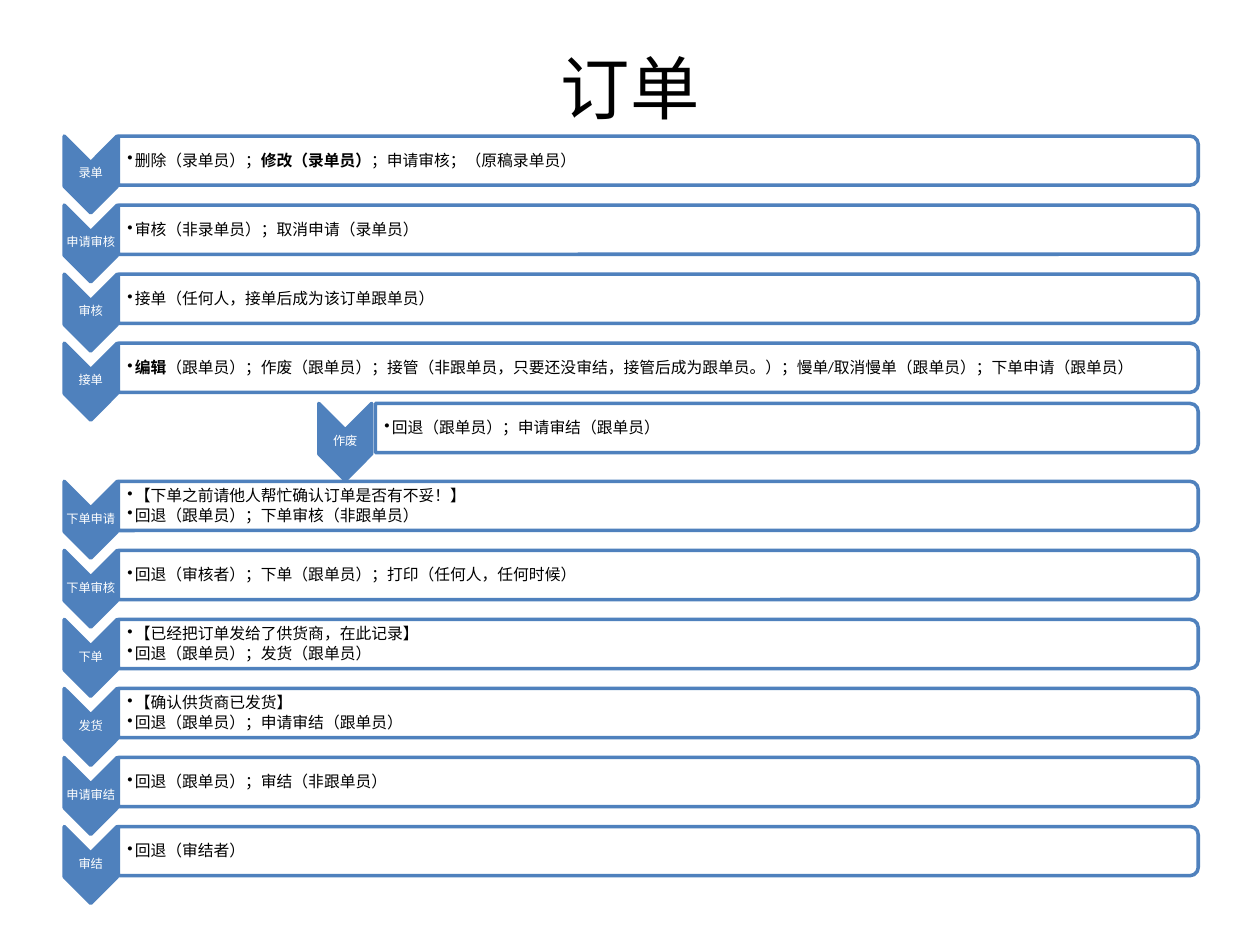
from dataclasses import dataclass

from lxml.etree import SubElement
from pptx import Presentation
from pptx.dml.color import RGBColor
from pptx.enum.shapes import MSO_SHAPE
from pptx.enum.text import MSO_ANCHOR, PP_ALIGN
from pptx.oxml.ns import qn
from pptx.shapes.autoshape import Shape
from pptx.shapes.group import GroupShape
from pptx.text.text import _Paragraph
from pptx.util import Inches, Pt

CHEVRON = MSO_SHAPE.CHEVRON
BAR = MSO_SHAPE.ROUND_2_SAME_RECTANGLE
MIDDLE = MSO_ANCHOR.MIDDLE
CENTER = PP_ALIGN.CENTER


@dataclass(frozen=True)
class Theme:
    blue: RGBColor = RGBColor(0x4F, 0x81, 0xBD)
    white: RGBColor = RGBColor(255, 255, 255)
    black: RGBColor = RGBColor(0, 0, 0)
    font: str = "Calibri"
    title_size: float = 39.6
    label_size: float = 7
    action_size: float = 9
    line_width: float = 2


@dataclass(frozen=True)
class Span:
    text: str
    bold: bool = False


@dataclass(frozen=True)
class Step:
    label: str
    actions: tuple[tuple[Span, ...], ...]
    chevron_left: float = 0.51
    bar_left: float = 0.94
    shift: float = 0


THEME = Theme()
FIRST_TOP = 1.08
PITCH = 0.548
BAR_RIGHT = 9.51
BAR_HEIGHT = 0.39
CHEVRON_WIDTH = 0.42
CHEVRON_HEIGHT = 0.61


def plain(*lines: str) -> tuple[tuple[Span, ...], ...]:
    return tuple((Span(line),) for line in lines)


STEPS = (
    Step("录单", ((Span("删除（录单员）；"), Span("修改（录单员）", True),
                 Span("；申请审核；（原稿录单员）")),)),
    Step("申请审核", plain("审核（非录单员）；取消申请（录单员）")),
    Step("审核", plain("接单（任何人，接单后成为该订单跟单员）")),
    Step("接单", ((Span("编辑", True),
                 Span("（跟单员）；作废（跟单员）；接管（非跟单员，只要还没审结，接管后成为跟单员。）；"
                      "慢单/取消慢单（跟单员）；下单申请（跟单员）")),)),
    Step("作废", plain("回退（跟单员）；申请审结（跟单员）"), 2.53, 2.98, -0.07),
    Step("下单申请", plain("【下单之前请他人帮忙确认订单是否有不妥！】", "回退（跟单员）；下单审核（非跟单员）")),
    Step("下单审核", plain("回退（审核者）；下单（跟单员）；打印（任何人，任何时候）")),
    Step("下单", plain("【已经把订单发给了供货商，在此记录】", "回退（跟单员）；发货（跟单员）")),
    Step("发货", plain("【确认供货商已发货】", "回退（跟单员）；申请审结（跟单员）")),
    Step("申请审结", plain("回退（跟单员）；审结（非跟单员）")),
    Step("审结", plain("回退（审结者）")),
)


def add_turned(group: GroupShape, kind: MSO_SHAPE, left: float, top: float,
               width: float, height: float, fill: RGBColor) -> Shape:
    inset = (width - height) / 2
    shape = group.shapes.add_shape(kind, Inches(left + inset), Inches(top - inset),
                                   Inches(height), Inches(width))
    shape.rotation = 90
    shape.shadow.inherit = False
    shape.fill.solid()
    shape.fill.fore_color.rgb = fill
    shape.line.color.rgb = THEME.blue
    shape.line.width = Pt(THEME.line_width)
    return shape


def add_box(group: GroupShape, left: float, top: float, width: float, height: float,
            left_inset: float, inset: float) -> Shape:
    box = group.shapes.add_textbox(Inches(left), Inches(top), Inches(width), Inches(height))
    frame = box.text_frame
    frame.word_wrap = True
    frame.vertical_anchor = MIDDLE
    frame.margin_left = Inches(left_inset)
    frame.margin_right = frame.margin_top = frame.margin_bottom = Inches(inset)
    return box


def style(para: _Paragraph, size: float, color: RGBColor, after: int) -> None:
    para.line_spacing = 0.9
    spacing = SubElement(para._p.get_or_add_pPr(), qn("a:spcAft"))
    SubElement(spacing, qn("a:spcPct"), val=str(after * 1000))
    para.font.name = THEME.font
    para.font.size = Pt(size)
    para.font.color.rgb = color


def add_bullet(para: _Paragraph) -> None:
    properties = para._p.get_or_add_pPr()
    properties.set("marL", str(Inches(0.06)))
    properties.set("indent", str(Inches(-0.06)))
    bullet = SubElement(properties, qn("a:buChar"), char="•")
    properties.find(qn("a:defRPr")).addprevious(bullet)


def add_step(group: GroupShape, step: Step, top: float) -> None:
    add_turned(group, CHEVRON, step.chevron_left, top, CHEVRON_WIDTH, CHEVRON_HEIGHT, THEME.blue)
    label = add_box(group, step.chevron_left, top + 0.21, CHEVRON_WIDTH, 0.18, 0, 0)
    para = label.text_frame.paragraphs[0]
    para.text = step.label
    para.alignment = CENTER
    style(para, THEME.label_size, THEME.white, 35)

    width = BAR_RIGHT - step.bar_left
    bar = add_turned(group, BAR, step.bar_left, top, width, BAR_HEIGHT, THEME.white)
    color = bar.fill._xPr.find(qn("a:solidFill"))[0]
    SubElement(color, qn("a:alpha"), val="90000")
    box = add_box(group, step.bar_left, top + 0.02, width - 0.02, 0.36, 0.07, 0.01)
    frame = box.text_frame
    for index, spans in enumerate(step.actions):
        para = frame.add_paragraph() if index else frame.paragraphs[0]
        para.level = 1
        style(para, THEME.action_size, THEME.black, 15)
        add_bullet(para)
        for span in spans:
            run = para.add_run()
            run.text = span.text
            if span.bold:
                run.font.bold = True


def main() -> None:
    deck = Presentation()
    deck.slide_width, deck.slide_height = Inches(10), Inches(7.5)
    page = deck.slides.add_slide(deck.slide_layouts[5])
    title = page.shapes.title
    title.left, title.top = Inches(0.5), Inches(0.3)
    title.width, title.height = Inches(9), Inches(0.77)
    title.text_frame.vertical_anchor = MIDDLE
    para = title.text_frame.paragraphs[0]
    para.text = "订单"
    para.alignment = CENTER
    para.font.name = THEME.font
    para.font.size = Pt(THEME.title_size)
    para.font.color.rgb = THEME.black

    flow = page.shapes.add_group_shape()
    for index, step in enumerate(STEPS):
        add_step(flow, step, FIRST_TOP + index * PITCH + step.shift)
    deck.save("out.pptx")


main()
